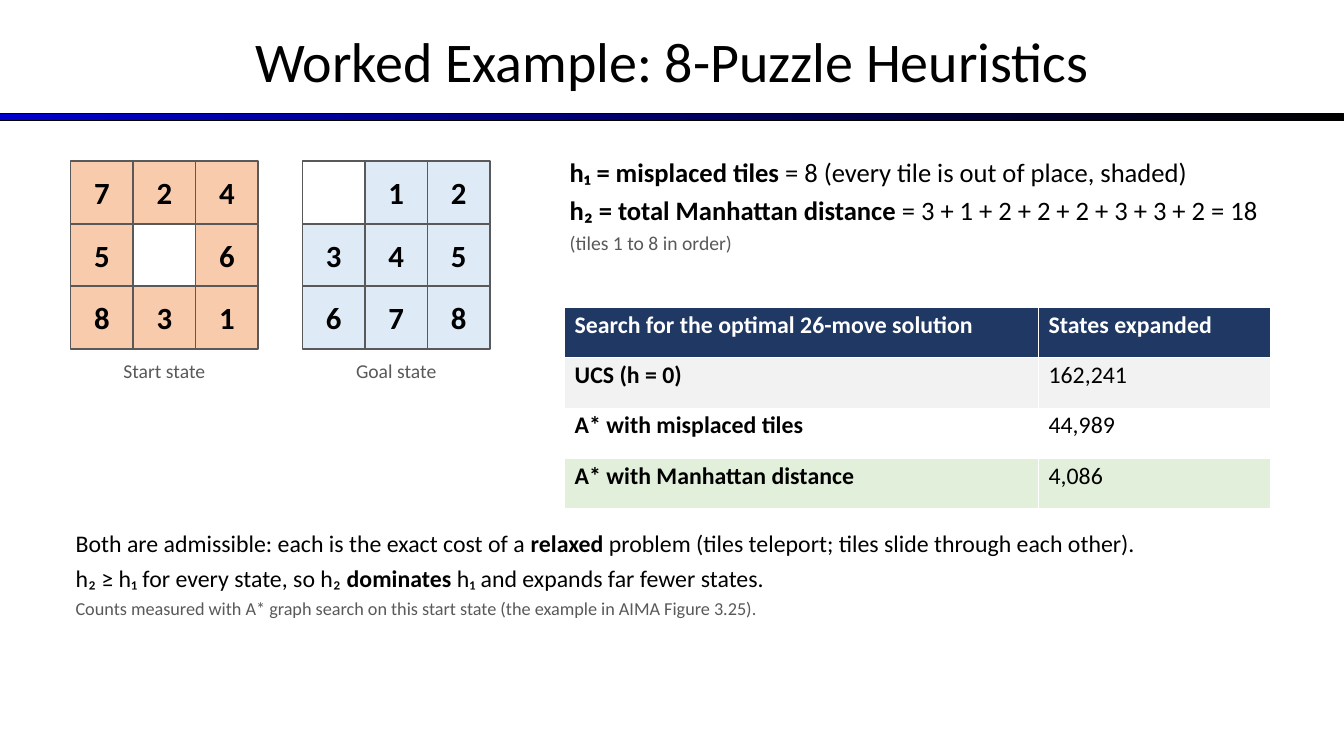
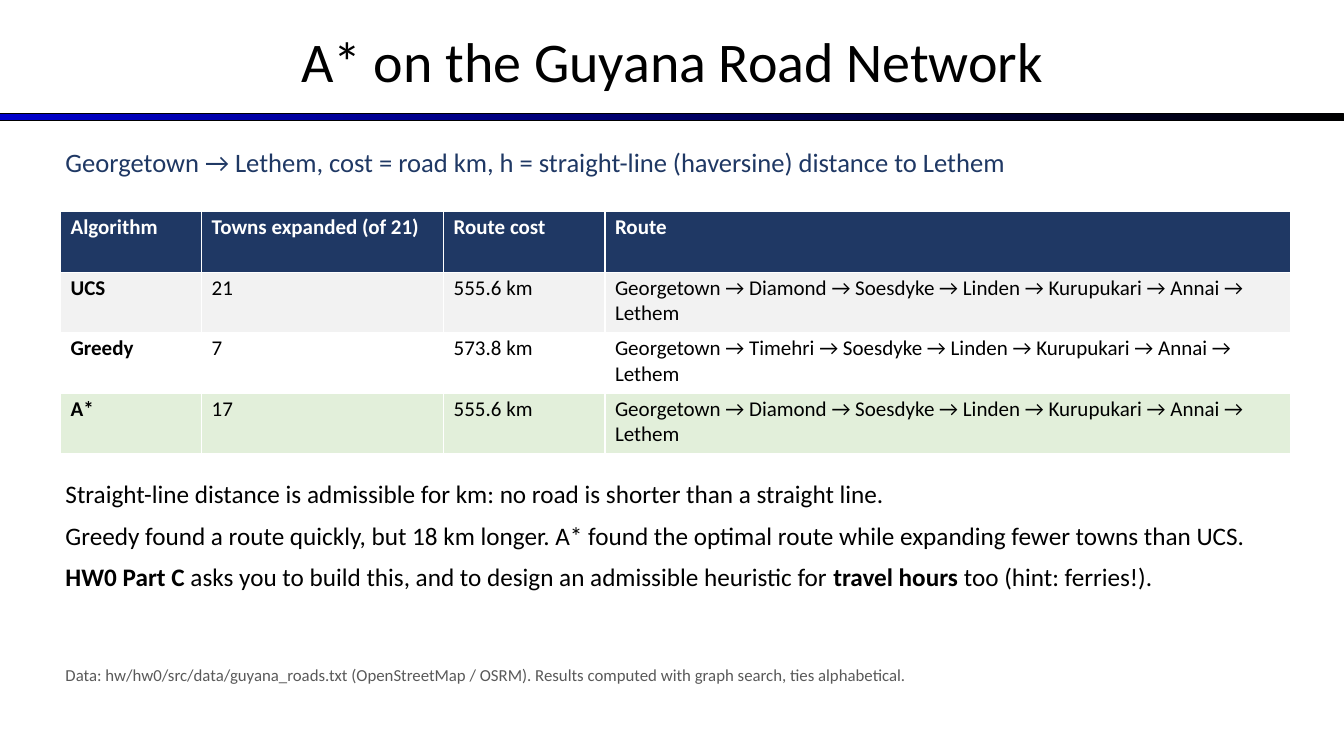
"""Build two slides on heuristics and A* search."""
from pptx import Presentation
from pptx.dml.color import RGBColor
from pptx.enum.shapes import MSO_SHAPE
from pptx.enum.text import MSO_ANCHOR, MSO_AUTO_SIZE, PP_ALIGN
from pptx.util import Inches, Pt

RECT = MSO_SHAPE.RECTANGLE
MIDDLE = MSO_ANCHOR.MIDDLE
GROW, FIXED = MSO_AUTO_SIZE.SHAPE_TO_FIT_TEXT, MSO_AUTO_SIZE.NONE
LEFT, CENTER = PP_ALIGN.LEFT, PP_ALIGN.CENTER

FONT = "Calibri"
BLACK, WHITE, GRAY, NAVY, BLUE = "000000", "FFFFFF", "595959", "1F3864", "0000CC"
PEACH, SKY, PALE, GREEN = "F8CBAD", "DEEBF7", "F2F2F2", "E2EFDA"
ROW_FILLS = [NAVY, PALE, WHITE, GREEN]
WIDTH, HEIGHT = 13.33, 7.5
TILE = 0.62


def rgb(code):
    """Turn a hex string into a colour."""
    return RGBColor.from_string(code)


def style(font, size, color=BLACK, bold=False):
    """Set the face, size, colour and weight of a font."""
    font.name, font.size, font.bold = FONT, Pt(size), bold
    font.color.rgb = rgb(color)


def inset(item, x, y):
    """Set equal side margins and equal top and bottom margins."""
    item.margin_left = item.margin_right = Inches(x)
    item.margin_top = item.margin_bottom = Inches(y)


def write(para, text, size, color=BLACK, bold=False):
    """Write a line in which double stars switch bold on and off."""
    for i, part in enumerate(text.split("**")):
        if part:
            run = para.add_run()
            run.text = part
            style(run.font, size, color, bold or i % 2 == 1)


def add_box(slide, x, y, w, h, lines, align=LEFT, after=4):
    """Add a text box of (text, size, colour) lines."""
    frame = slide.shapes.add_textbox(Inches(x), Inches(y), Inches(w), Inches(h)).text_frame
    frame.word_wrap, frame.auto_size = True, GROW
    inset(frame, 0.05, 0.05)
    for i, line in enumerate(lines):
        para = frame.add_paragraph() if i else frame.paragraphs[0]
        para.alignment, para.space_after = align, Pt(after)
        write(para, *line)


def add_rect(slide, x, y, w, h, edge, weight):
    """Add a plain outlined rectangle."""
    rect = slide.shapes.add_shape(RECT, Inches(x), Inches(y), Inches(w), Inches(h))
    rect.shadow.inherit = False
    rect.line.color.rgb, rect.line.width = rgb(edge), Pt(weight)
    return rect


def add_board(slide, x, y, tiles, fill, label):
    """Add a three by three puzzle board with a caption."""
    for i, mark in enumerate(tiles):
        row, col = divmod(i, 3)
        tile = add_rect(slide, x + col * TILE, y + row * TILE, TILE, TILE, GRAY, 1.25)
        tile.fill.solid()
        tile.fill.fore_color.rgb = rgb(WHITE if mark == " " else fill)
        if mark != " ":
            frame = tile.text_frame
            frame.vertical_anchor = MIDDLE
            inset(frame, 0, 0)
            frame.paragraphs[0].alignment = CENTER
            write(frame.paragraphs[0], mark, 22, BLACK, True)
    add_box(slide, x - 0.2, y + 3 * TILE + 0.05, 3 * TILE + 0.4, 0.35,
            [(label, 14, GRAY)], CENTER)


def add_grid(slide, x, y, widths, high, size, rows):
    """Add a table with a dark header and bold first column."""
    grid = slide.shapes.add_table(len(rows), len(widths), Inches(x), Inches(y),
                                  Inches(sum(widths)), Inches(high * len(rows))).table
    grid.horz_banding = False
    for col, width in zip(grid.columns, widths):
        col.width = Inches(width)
    for r, (row, fill) in enumerate(zip(rows, ROW_FILLS)):
        grid.rows[r].height = Inches(high)
        for c, text in enumerate(row):
            cell = grid.cell(r, c)
            cell.fill.solid()
            cell.fill.fore_color.rgb = rgb(fill)
            inset(cell, 0.1, 0.03)
            write(cell.text_frame.paragraphs[0], text, size,
                  BLACK if r else WHITE, r == 0 or c == 0)


def add_slide(deck, layout, text):
    """Add a slide with its title."""
    slide = deck.slides.add_slide(layout)
    frame = slide.shapes.title.text_frame
    frame.text = text
    frame.auto_size, frame.vertical_anchor = FIXED, MIDDLE
    inset(frame, 0.1, 0.05)
    frame.paragraphs[0].alignment = CENTER
    style(frame.paragraphs[0].runs[0].font, 40)
    return slide


def set_layout(layout, slide):
    """Place the title and move a gradient band from a slide to the layout."""
    title = layout.placeholders[0]
    title.left, title.top = Inches(0), Inches(-0.03)
    title.width, title.height = Inches(WIDTH), Inches(1.25)
    band = add_rect(slide, 0, 1.13, WIDTH, 0.07, BLACK, 0.75)
    band.fill.gradient()
    band.fill.gradient_angle = 0
    for stop, color in zip(band.fill.gradient_stops, (BLUE, BLACK)):
        stop.color.rgb = rgb(color)
    layout.shapes.element.insert(2, band.element)


def fill_puzzle(slide):
    """Fill the slide on puzzle heuristics."""
    add_board(slide, 0.7, 1.6, "7245 6831", PEACH, "Start state")
    add_board(slide, 3, 1.6, " 12345678", SKY, "Goal state")
    add_box(slide, 5.6, 1.5, 7.3, 1.2, [
        ("**h₁ = misplaced tiles** = 8 (every tile is out of place, shaded)", 19),
        ("**h₂ = total Manhattan distance** = 3 + 1 + 2 + 2 + 2 + 3 + 3 + 2 = 18", 19),
        ("(tiles 1 to 8 in order)", 14, GRAY)])
    add_grid(slide, 5.6, 3.05, [4.7, 2.3], 0.5, 17, [
        ("Search for the optimal 26-move solution", "States expanded"),
        ("UCS (h = 0)", "162,241"),
        ("A* with misplaced tiles", "44,989"),
        ("A* with Manhattan distance", "4,086")])
    add_box(slide, 0.7, 5.2, 12.2, 1.4, [
        ("Both are admissible: each is the exact cost of a **relaxed** problem "
         "(tiles teleport; tiles slide through each other).", 17),
        ("h₂ ≥ h₁ for every state, so h₂ **dominates** h₁ and expands far fewer states.", 17),
        ("Counts measured with A* graph search on this start state "
         "(the example in AIMA Figure 3.25).", 13, GRAY)])


def fill_roads(slide):
    """Fill the slide on the road network."""
    route = "Georgetown → {} → Soesdyke → Linden → Kurupukari → Annai → Lethem"
    add_box(slide, 0.6, 1.4, 12.2, 0.6, [
        ("Georgetown → Lethem, cost = road km, "
         "h = straight-line (haversine) distance to Lethem", 19, NAVY)])
    add_grid(slide, 0.6, 2.1, [1.4, 2.4, 1.6, 6.8], 0.6, 15, [
        ("Algorithm", "Towns expanded (of 21)", "Route cost", "Route"),
        ("UCS", "21", "555.6 km", route.format("Diamond")),
        ("Greedy", "7", "573.8 km", route.format("Timehri")),
        ("A*", "17", "555.6 km", route.format("Diamond"))])
    add_box(slide, 0.6, 4.7, 12.2, 1.9, [
        ("Straight-line distance is admissible for km: "
         "no road is shorter than a straight line.", 18),
        ("Greedy found a route quickly, but 18 km longer. "
         "A* found the optimal route while expanding fewer towns than UCS.", 18),
        ("**HW0 Part C** asks you to build this, and to design an admissible "
         "heuristic for **travel hours** too (hint: ferries!).", 18)], after=8)
    add_box(slide, 0.6, 6.55, 12.2, 0.35, [
        ("Data: hw/hw0/src/data/guyana_roads.txt (OpenStreetMap / OSRM). "
         "Results computed with graph search, ties alphabetical.", 12, GRAY)])


def main():
    """Build and save the deck."""
    deck = Presentation()
    deck.slide_width, deck.slide_height = Inches(WIDTH), Inches(HEIGHT)
    layout = deck.slide_layouts[5]
    puzzle = add_slide(deck, layout, "Worked Example: 8-Puzzle Heuristics")
    set_layout(layout, puzzle)
    fill_puzzle(puzzle)
    fill_roads(add_slide(deck, layout, "A* on the Guyana Road Network"))
    deck.save("out.pptx")


if __name__ == "__main__":
    main()
